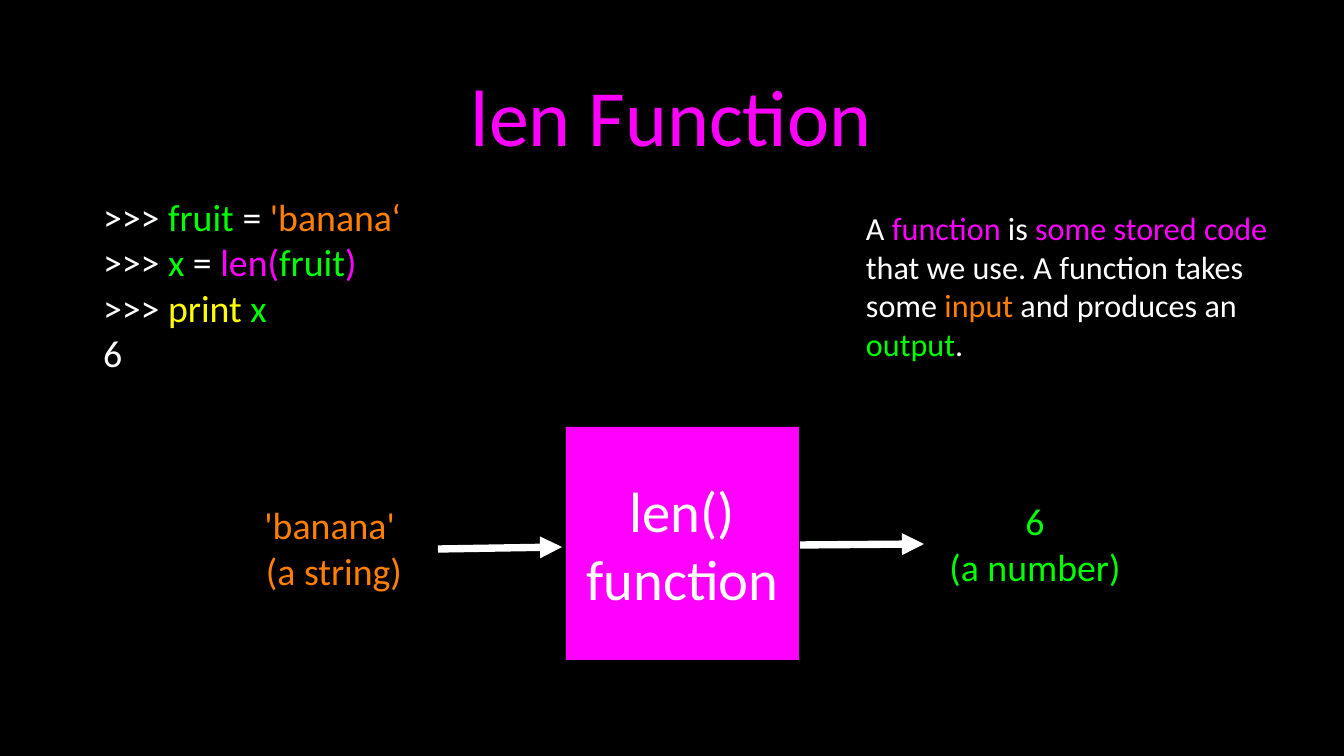
from lxml.etree import SubElement
from pptx import Presentation
from pptx.dml.color import RGBColor
from pptx.enum.shapes import MSO_CONNECTOR, MSO_SHAPE
from pptx.enum.text import MSO_ANCHOR, MSO_AUTO_SIZE, PP_ALIGN
from pptx.oxml.ns import qn
from pptx.util import Pt

PX = 914400 / 75.6  # EMU in one px
WHITE, BLACK, MAGENTA = "FFFFFF", "000000", "FF00FF"
GREEN, ORANGE, YELLOW = "00FF00", "FF7F00", "FFFF00"

CODE = [
    [(">>> ", WHITE), ("fruit ", GREEN), ("=", WHITE), (" 'banana‘", ORANGE)],
    [(">>> ", WHITE), ("x ", GREEN), ("= ", WHITE), ("len(", MAGENTA),
     ("fruit", GREEN), (")", MAGENTA)],
    [(">>> ", WHITE), ("print ", YELLOW), ("x", GREEN)],
    [("6", WHITE)],
]
DEFINITION = [[
    ("A ", WHITE), ("function", MAGENTA), (" is ", WHITE),
    ("some stored code", MAGENTA),
    (" that we use. A function takes some ", WHITE), ("input", ORANGE),
    (" and produces an ", WHITE), ("output", GREEN), (".", WHITE),
]]


def emu(*lengths):
    return [round(length * PX) for length in lengths]


def paint(fill, color):
    fill.solid()
    fill.fore_color.rgb = RGBColor.from_string(color)


def write(shape, lines, size, align=PP_ALIGN.LEFT, wrap=True, inset=0):
    """Fill a shape with lines, each a list of (text, color) runs."""
    frame = shape.text_frame
    margin = emu(inset)[0]
    frame_format = {
        "word_wrap": wrap, "auto_size": MSO_AUTO_SIZE.NONE,
        "vertical_anchor": MSO_ANCHOR.MIDDLE,
        "margin_left": margin, "margin_right": margin,
        "margin_top": margin, "margin_bottom": margin,
    }
    for name, value in frame_format.items():
        setattr(frame, name, value)
    for index, line in enumerate(lines):
        paragraph = frame.add_paragraph() if index else frame.paragraphs[0]
        paragraph.alignment = align
        for text, color in line:
            run = paragraph.add_run()
            run.text = text
            for name, value in {"name": "Calibri", "size": Pt(size)}.items():
                setattr(run.font, name, value)
            paint(run.font.fill, color)


def add_title(slide, text, box):
    title = slide.shapes.title
    for name, value in zip(("left", "top", "width", "height"), emu(*box)):
        setattr(title, name, value)
    write(title, [[(text, MAGENTA)]], 76, PP_ALIGN.CENTER, inset=3)


def add_text(slide, box, lines, size, **layout):
    write(slide.shapes.add_textbox(*emu(*box)), lines, size, **layout)


def add_label(slide, box, texts, color):
    add_text(slide, box, [[(text, color)] for text in texts], 36,
             align=PP_ALIGN.CENTER, wrap=False)


def add_function_box(slide, box, texts):
    square = slide.shapes.add_shape(MSO_SHAPE.RECTANGLE, *emu(*box))
    square.shadow.inherit = False
    paint(square.fill, MAGENTA)
    square.line.fill.background()
    write(square, [[(text, WHITE)] for text in texts], 54, PP_ALIGN.CENTER)


def add_arrow(slide, tip, tail):
    arrow = slide.shapes.add_connector(
        MSO_CONNECTOR.STRAIGHT, *emu(*tip), *emu(*tail))
    paint(arrow.line.fill, WHITE)
    arrow.line.width = Pt(7)
    SubElement(arrow.line._get_or_add_ln(), qn("a:headEnd"), type="triangle")
    SubElement(arrow._element.spPr, qn("a:effectLst"))


def main():
    deck = Presentation()
    deck.slide_width, deck.slide_height = emu(1344, 756)
    slide = deck.slides.add_slide(deck.slide_layouts.get_by_name("Title Only"))
    paint(slide.background.fill, BLACK)

    # Title, code session and definition
    add_title(slide, "len Function", (95, 20, 1152, 190))
    add_text(slide, (103, 194, 340, 181), CODE, 36, wrap=False)
    add_text(slide, (866, 195, 408, 181), DEFINITION, 30.6)

    # Flow from input through the function to output
    add_function_box(slide, (566, 427, 233, 233), ("len()", "function"))
    add_label(slide, (254, 502, 160, 91), ("'banana' ", "(a string)"), ORANGE)
    add_label(slide, (937, 498, 196, 91), ("6", "(a number)"), GREEN)
    add_arrow(slide, tip=(562, 547), tail=(438, 549))
    add_arrow(slide, tip=(924, 544), tail=(800, 545))

    deck.save("out.pptx")


if __name__ == "__main__":
    main()
